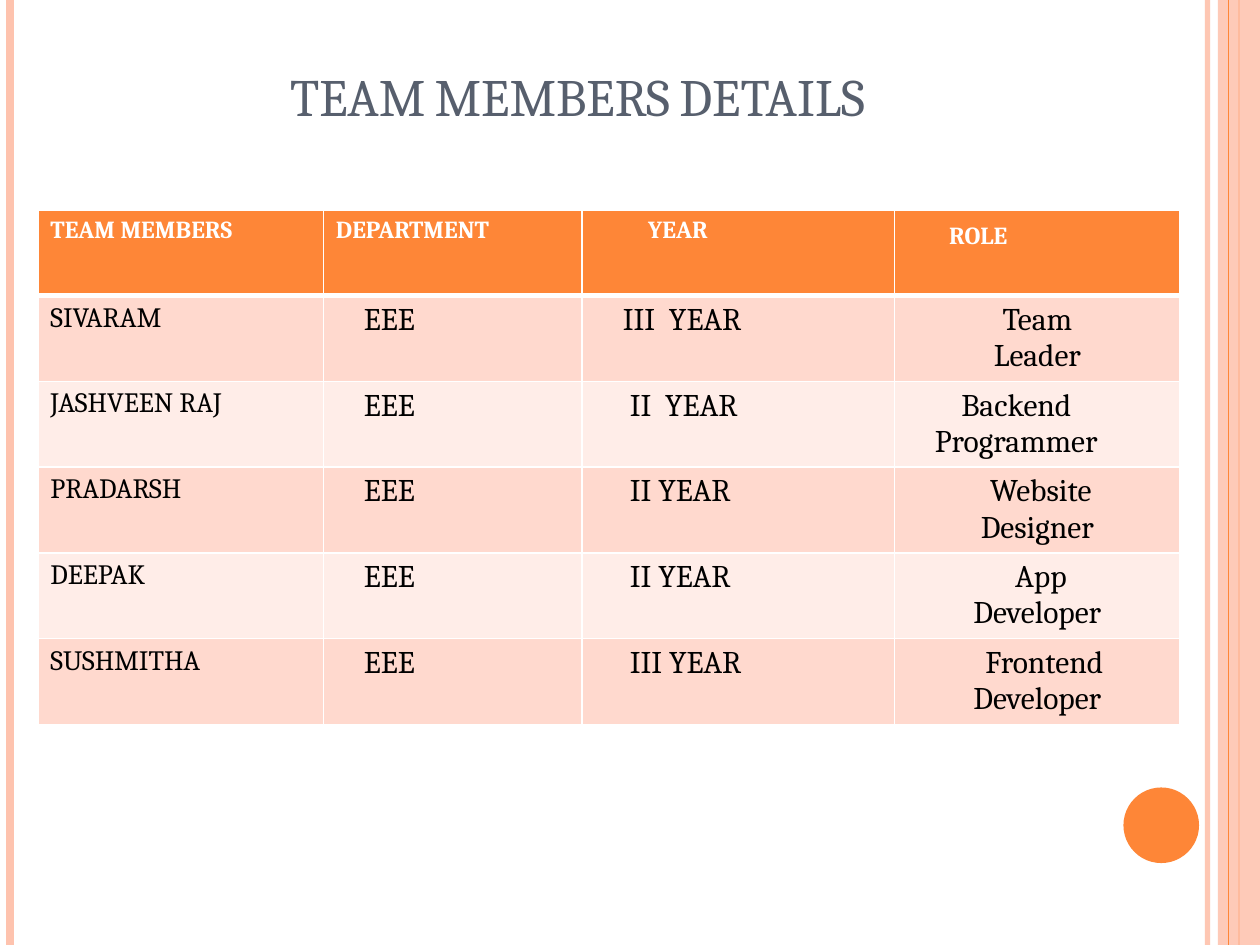
from pptx import Presentation
from pptx.dml.color import RGBColor
from pptx.enum.shapes import MSO_CONNECTOR as CONN, MSO_SHAPE as SHAPE
from pptx.enum.text import MSO_ANCHOR as ANCHOR, PP_ALIGN as ALIGN
from pptx.oxml import parse_xml
from pptx.oxml.ns import nsdecls
from pptx.util import Pt

ORANGE, PEACH, WHITE = "FE8637", "FEC3AE", "FFFFFF"
W, H = 720, 540


def rgb(code):
    return RGBColor.from_string(code)


def add_alpha(fill_owner, percent):
    """Make the solid colour inside an XML element partly transparent."""
    color = fill_owner.find(".//{*}srgbClr")
    color.append(parse_xml(f'<a:alpha {nsdecls("a")} val="{percent * 1000}"/>'))


prs = Presentation()
prs.slide_width, prs.slide_height = Pt(W), Pt(H)
slide = prs.slides.add_slide(prs.slide_layouts[6])
shapes = slide.shapes

# Side stripes, back to front: x, colour, width, opacity
left_stripes = [(690, PEACH, 3, 93), (5.75, PEACH, 4.5, 100), (708, ORANGE, 1.5, 100)]
edge_stripe = [(702, ORANGE, 0.75, 100)]
for stripes in (left_stripes, edge_stripe):
    if stripes is edge_stripe:
        band = shapes.add_shape(SHAPE.RECTANGLE, Pt(696), 0, Pt(24), Pt(H))
        band.shadow.inherit = False
        band.fill.solid()
        band.fill.fore_color.rgb = rgb(PEACH)
        band.line.fill.background()
        add_alpha(band._element.spPr, 87)
    for x, color, width, opacity in stripes:
        line = shapes.add_connector(CONN.STRAIGHT, Pt(x), 0, Pt(x), Pt(H))
        line.line.color.rgb = rgb(color)
        line.line.width = Pt(width)
        sp_pr = line._element.spPr
        if opacity < 100:
            add_alpha(sp_pr, opacity)
        sp_pr.append(parse_xml(f'<a:effectLst {nsdecls("a")}/>'))

dot = shapes.add_shape(SHAPE.OVAL, Pt(642), Pt(450), Pt(43.2), Pt(43.2))
dot.shadow.inherit = False
dot.fill.solid()
dot.fill.fore_color.rgb = rgb(ORANGE)
dot.line.fill.background()

# Table
header = ["TEAM MEMBERS", "DEPARTMENT", "YEAR", "ROLE"]
members = [
    ["SIVARAM", "EEE", "III  YEAR", "Team\nLeader"],
    ["JASHVEEN RAJ", "EEE", "II  YEAR", "Backend\nProgrammer"],
    ["PRADARSH", "EEE", "II YEAR", "Website\nDesigner"],
    ["DEEPAK", "EEE", "II YEAR", "App\nDeveloper"],
    ["SUSHMITHA", "EEE", "III YEAR", "Frontend\nDeveloper"],
]
rows = [header] + members
col_widths = [163.2, 147.9, 178.5, 163.2]
row_height = 49
header_indents = [0, 0, 30.5, 24]
member_indents = [0, 16, 20, 0]
role_offsets = {"Backend": ("marR", 24), "Website": ("marL", 4),
                "App": ("marL", 4), "Frontend": ("marL", 8)}

table = shapes.add_table(len(rows), len(header), Pt(21.6), Pt(120),
                         Pt(sum(col_widths)), Pt(row_height * len(rows))).table
for column, width in zip(table.columns, col_widths):
    column.width = Pt(width)
for row in table.rows:
    row.height = Pt(row_height)

for i, texts in enumerate(rows):
    is_header = i == 0
    fill = ORANGE if is_header else ("FFD9CE" if i % 2 else "FFEDE8")
    indents = header_indents if is_header else member_indents
    borders = {"lnL": 1, "lnR": 1, "lnT": 3 if i == 1 else 1, "lnB": 3 if is_header else 1}
    for j, text in enumerate(texts):
        cell = table.cell(i, j)
        cell.fill.solid()
        cell.fill.fore_color.rgb = rgb(fill)
        indent = 16 if text == "III  YEAR" else indents[j]
        cell.margin_left = Pt(7.2 + indent)
        if text == "ROLE":
            cell.margin_top = Pt(7.2)
        tc_pr = cell._tc.get_or_add_tcPr()
        for k, (tag, width) in enumerate(borders.items()):
            tc_pr.insert(k, parse_xml(
                f'<a:{tag} {nsdecls("a")} w="{Pt(width)}"><a:solidFill>'
                f'<a:srgbClr val="{WHITE}"/></a:solidFill></a:{tag}>'))

        size = 14 if is_header else 16 if j == 0 else 18
        font = {"name": "Cambria", "size": Pt(size), "bold": is_header}
        cell.text = text
        for p in cell.text_frame.paragraphs:
            if j == 3 and not is_header:
                p.alignment = ALIGN.CENTER
            if p.text in role_offsets:
                side, offset = role_offsets[p.text]
                p._p.get_or_add_pPr().set(side, str(Pt(offset)))
            r = p.runs[0]
            for name, value in font.items():
                setattr(r.font, name, value)
            r.font.color.rgb = rgb(WHITE if is_header else "000000")

# Title
title = shapes.add_textbox(Pt(36), Pt(21.6), Pt(588), Pt(90))
tf = title.text_frame
frame = {"word_wrap": True, "vertical_anchor": ANCHOR.BOTTOM, "margin_bottom": Pt(39)}
for name, value in frame.items():
    setattr(tf, name, value)
p = tf.paragraphs[0]
p.alignment = ALIGN.CENTER
r = p.add_run()
r.text = "TEAM MEMBERS DETAILS"
for name, value in {"name": "Cambria", "size": Pt(30)}.items():
    setattr(r.font, name, value)
r.font.color.rgb = rgb("575F6D")
r._r.get_or_add_rPr().set("cap", "small")

prs.save("out.pptx")
